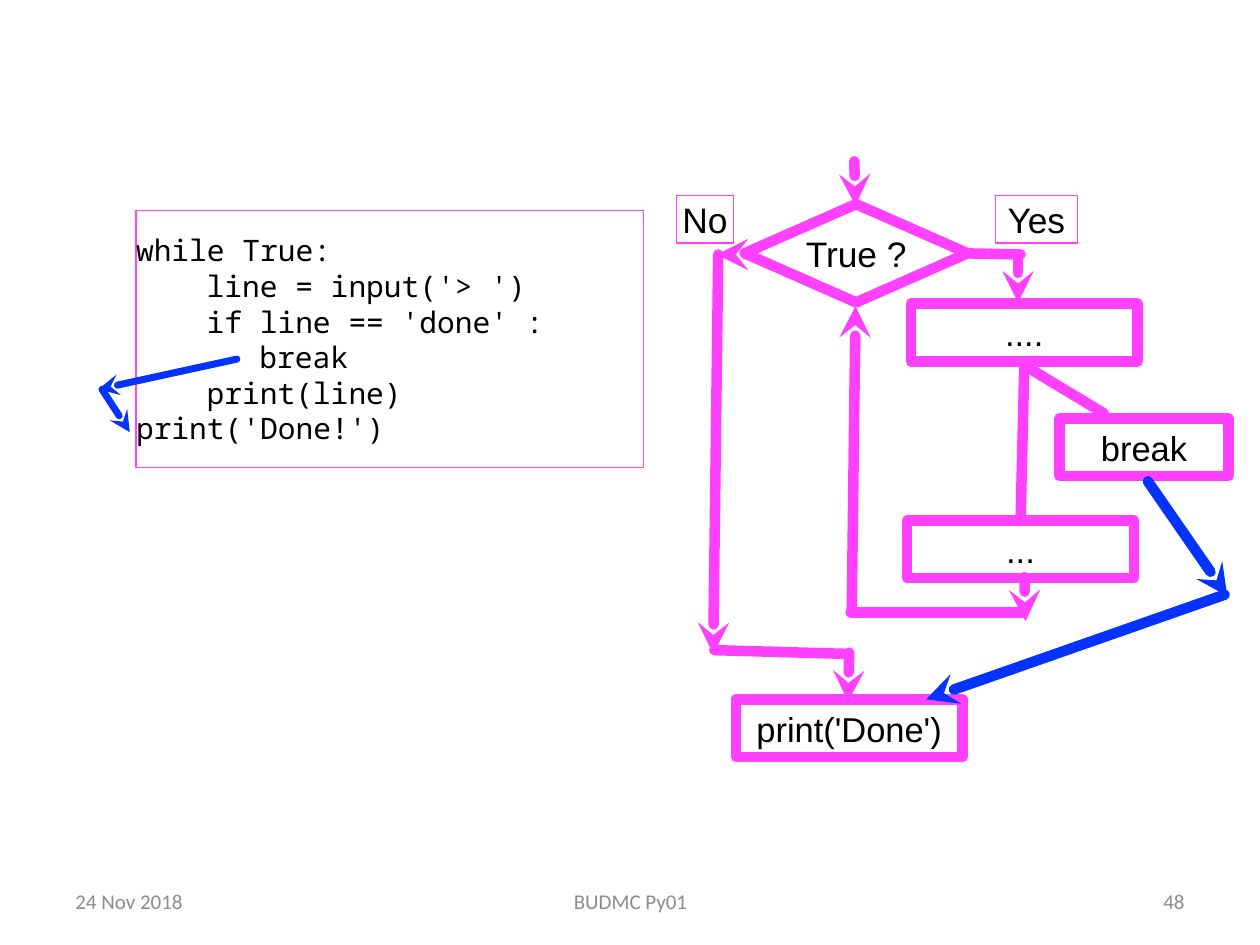
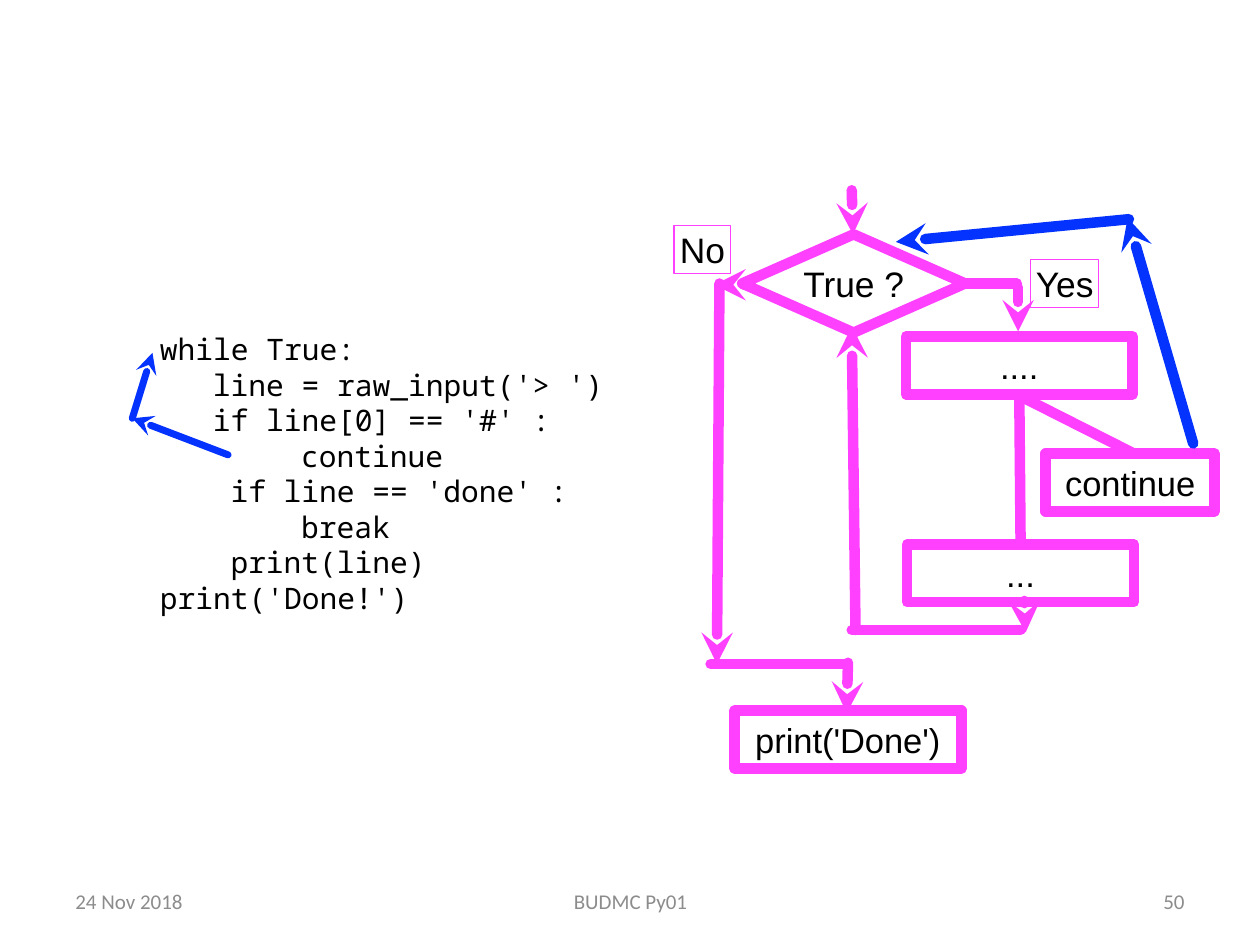
"""Build two slides that trace break and continue through a while loop."""
from lxml import etree
from pptx import Presentation
from pptx.dml.color import RGBColor
from pptx.enum.shapes import MSO_CONNECTOR as CONNECTOR, MSO_SHAPE as SHAPE
from pptx.enum.text import MSO_ANCHOR as ANCHOR, PP_ALIGN as ALIGN
from pptx.oxml.ns import qn
from pptx.util import Inches, Pt

PINK, BLUE, BLACK, GRAY = "FF40FF", "0432FF", "000000", "8C8C8C"
FLOW_FONT, CODE_FONT, FOOTER_FONT = "Arial", "Noto Sans Mono", "Calibri"
CODE_SIZE, CODE_LEADING = 16.9, 20.3
CHARACTER_WIDTH = 0.14
FLOW_WEIGHT, TRACE_WEIGHT = 6, 4
BOX_HEIGHT, STEP_WIDTH, JUMP_WIDTH = 0.46, 1.8, 1.34


def color(value):
    """Return a hex string as a colour."""
    return RGBColor.from_string(value)


def add_run(paragraph, text, font, size, text_color):
    """Add one formatted run."""
    run = paragraph.add_run()
    run.text = text
    run.font.name = font
    run.font.size = Pt(size)
    run.font.color.rgb = color(text_color)


def style_line(line, line_color, weight):
    """Set the colour, weight and round joins of a line."""
    line.color.rgb = color(line_color)
    line.width = Pt(weight)
    line_xml = line._get_or_add_ln()
    line_xml.set("cap", "rnd")
    etree.SubElement(line_xml, qn("a:round"))
    return line_xml


def clear_margins(frame):
    """Wrap a text frame, centre it vertically and drop its margins."""
    frame.word_wrap = True
    frame.vertical_anchor = ANCHOR.MIDDLE
    frame.margin_left = frame.margin_right = 0
    frame.margin_top = frame.margin_bottom = 0


def add_outline(slide, kind, bounds, weight):
    """Add an unfilled pink shape."""
    shape = slide.shapes.add_shape(kind, *map(Inches, bounds))
    shape.shadow.inherit = False
    shape.fill.background()
    style_line(shape.line, PINK, weight)
    clear_margins(shape.text_frame)
    return shape


def add_node(slide, text, bounds, kind=SHAPE.RECTANGLE, weight=FLOW_WEIGHT, size=19.7):
    """Add a labelled flowchart node."""
    shape = add_outline(slide, kind, bounds, weight)
    paragraph = shape.text_frame.paragraphs[0]
    paragraph.alignment = ALIGN.CENTER
    add_run(paragraph, text, FLOW_FONT, size, BLACK)


def add_step(slide, text, left, top, width=STEP_WIDTH):
    """Add a flowchart step box."""
    add_node(slide, text, (left, top, width, BOX_HEIGHT))


def add_decision(slide, left, top):
    """Add the loop test."""
    add_node(slide, "True ?", (left, top, 1.77, 0.78), SHAPE.DIAMOND, size=20.2)


def add_branch_label(slide, text, left, top, width):
    """Add a thinly framed branch label."""
    add_node(slide, text, (left, top, width, 0.38), weight=0.75, size=20.2)


def add_line(slide, start, end, line_color=PINK, weight=FLOW_WEIGHT):
    """Add a straight line and return its outline element."""
    connector = slide.shapes.add_connector(
        CONNECTOR.STRAIGHT, *map(Inches, (*start, *end)))
    etree.SubElement(connector._element.spPr, qn("a:effectLst"))
    line_xml = style_line(connector.line, line_color, weight)
    return line_xml


def add_arrow(slide, start, tip, line_color=PINK, weight=FLOW_WEIGHT):
    """Add a line with a stealth arrowhead at its tip."""
    line_xml = add_line(slide, start, tip, line_color, weight)
    etree.SubElement(line_xml, qn("a:tailEnd"), type="stealth")


def add_arrows(slide, arrows, line_color=PINK, weight=FLOW_WEIGHT):
    """Add several arrows of one style."""
    for start, tip in arrows:
        add_arrow(slide, start, tip, line_color, weight)


def add_lines(slide, lines):
    """Add several plain flow lines."""
    for start, end in lines:
        add_line(slide, start, end)


def add_code(frame, code):
    """Write code lines given as pairs of indent and text."""
    clear_margins(frame)
    for index, (indent, text) in enumerate(code):
        paragraph = frame.add_paragraph() if index else frame.paragraphs[0]
        paragraph.alignment = ALIGN.LEFT
        paragraph.line_spacing = Pt(CODE_LEADING)
        margin = Inches(indent * CHARACTER_WIDTH)
        paragraph._p.get_or_add_pPr().set("marL", str(margin))
        add_run(paragraph, text, CODE_FONT, CODE_SIZE, BLACK)


def add_footer(slide, number):
    """Add the date, course and slide number."""
    footers = [
        ("24 Nov 2018", 0.5, 2.33, ALIGN.LEFT),
        ("BUDMC Py01", 3.42, 3.17, ALIGN.CENTER),
        (str(number), 7.17, 2.33, ALIGN.RIGHT),
    ]
    for text, left, width, alignment in footers:
        box = slide.shapes.add_textbox(*map(Inches, (left, 6.95, width, 0.4)))
        frame = box.text_frame
        frame.word_wrap = True
        frame.vertical_anchor = ANCHOR.MIDDLE
        paragraph = frame.paragraphs[0]
        paragraph.alignment = alignment
        add_run(paragraph, text, FOOTER_FONT, 12, GRAY)


def add_slide(presentation, number):
    """Add a blank slide with the footer."""
    slide = presentation.slides.add_slide(presentation.slide_layouts[6])
    add_footer(slide, number)
    return slide


def build_break_slide(presentation):
    """Show how break leaves the loop."""
    slide = add_slide(presentation, 48)
    code_box = add_outline(slide, SHAPE.RECTANGLE, (1.08, 1.67, 4.03, 2.04), 0.75)
    add_code(code_box.text_frame, [
        (0, "while True:"),
        (4, "line = input('> ')"),
        (4, "if line == 'done' :"),
        (7, "break"),
        (4, "print(line)"),
        (0, "print('Done!')"),
    ])
    add_decision(slide, 5.91, 1.62)
    add_branch_label(slide, "No", 5.37, 1.55, 0.45)
    add_branch_label(slide, "Yes", 7.9, 1.55, 0.65)
    add_step(slide, "....", 7.23, 2.41)
    add_step(slide, "break", 8.41, 3.32, JUMP_WIDTH)
    add_step(slide, "...", 7.2, 4.13)
    add_step(slide, "print('Done')", 5.84, 5.55)
    add_lines(slide, [
        ((8.1, 2.02), (7.62, 2.01)),
        ((8.1, 4.13), (8.13, 2.88)),
        ((8.76, 3.28), (8.13, 2.9)),
        ((6.75, 4.86), (8.12, 4.86)),
        ((5.67, 5.16), (6.73, 5.19)),
    ])
    add_arrows(slide, [
        ((6.78, 1.28), (6.79, 1.63)),
        ((8.08, 2.05), (8.08, 2.4)),
        ((8.13, 4.58), (8.14, 4.93)),
        ((6.76, 4.86), (6.79, 2.43)),
        ((5.93, 2.02), (5.69, 2.02)),
        ((5.7, 2.02), (5.66, 5.19)),
        ((6.74, 5.18), (6.73, 5.57)),
    ])
    add_arrows(slide, [
        ((9.11, 3.82), (9.74, 4.73)),
        ((9.72, 4.72), (7.35, 5.55)),
    ], BLUE)
    add_arrows(slide, [
        ((1.88, 2.85), (0.78, 3.09)),
        ((0.81, 3.09), (1.03, 3.43)),
    ], BLUE, TRACE_WEIGHT)


def build_continue_slide(presentation):
    """Show how continue returns to the loop test."""
    slide = add_slide(presentation, 50)
    code_box = slide.shapes.add_textbox(*map(Inches, (1.27, 2.39, 3.87, 2.73)))
    add_code(code_box.text_frame, [
        (0, "while True:"),
        (3, "line = raw_input('> ')"),
        (3, "if line[0] == '#' :"),
        (8, "continue"),
        (4, "if line == 'done' :"),
        (8, "break"),
        (4, "print(line)"),
        (0, "print('Done!')"),
    ])
    add_decision(slide, 5.89, 1.86)
    add_branch_label(slide, "No", 5.35, 1.79, 0.45)
    add_branch_label(slide, "Yes", 8.18, 2.06, 0.54)
    add_step(slide, "....", 7.19, 2.67)
    add_step(slide, "continue", 8.3, 3.6, JUMP_WIDTH)
    add_step(slide, "...", 7.2, 4.32)
    add_step(slide, "print('Done')", 5.83, 5.64)
    add_lines(slide, [
        ((8.07, 2.25), (7.65, 2.25)),
        ((8.1, 4.32), (8.09, 3.14)),
        ((8.98, 3.59), (8.09, 3.14)),
        ((6.76, 5), (8.1, 5)),
        ((5.64, 5.27), (6.71, 5.27)),
    ])
    add_arrows(slide, [
        ((6.76, 1.51), (6.77, 1.86)),
        ((8.08, 2.28), (8.08, 2.63)),
        ((8.13, 4.77), (8.14, 5.02)),
        ((6.79, 5), (6.76, 2.59)),
        ((5.92, 2.26), (5.67, 2.26)),
        ((5.71, 2.25), (5.69, 5.27)),
        ((6.73, 5.26), (6.72, 5.66)),
    ])
    add_arrows(slide, [
        ((9.47, 3.52), (8.95, 1.73)),
        ((8.96, 1.74), (7.11, 1.92)),
    ], BLUE)
    add_arrows(slide, [
        ((1.81, 3.61), (1.05, 3.32)),
        ((1.05, 3.32), (1.21, 2.8)),
    ], BLUE, TRACE_WEIGHT)


def main():
    """Build and save the presentation."""
    presentation = Presentation()
    presentation.slide_width = Inches(10)
    presentation.slide_height = Inches(7.5)
    build_break_slide(presentation)
    build_continue_slide(presentation)
    presentation.save("out.pptx")


if __name__ == "__main__":
    main()
